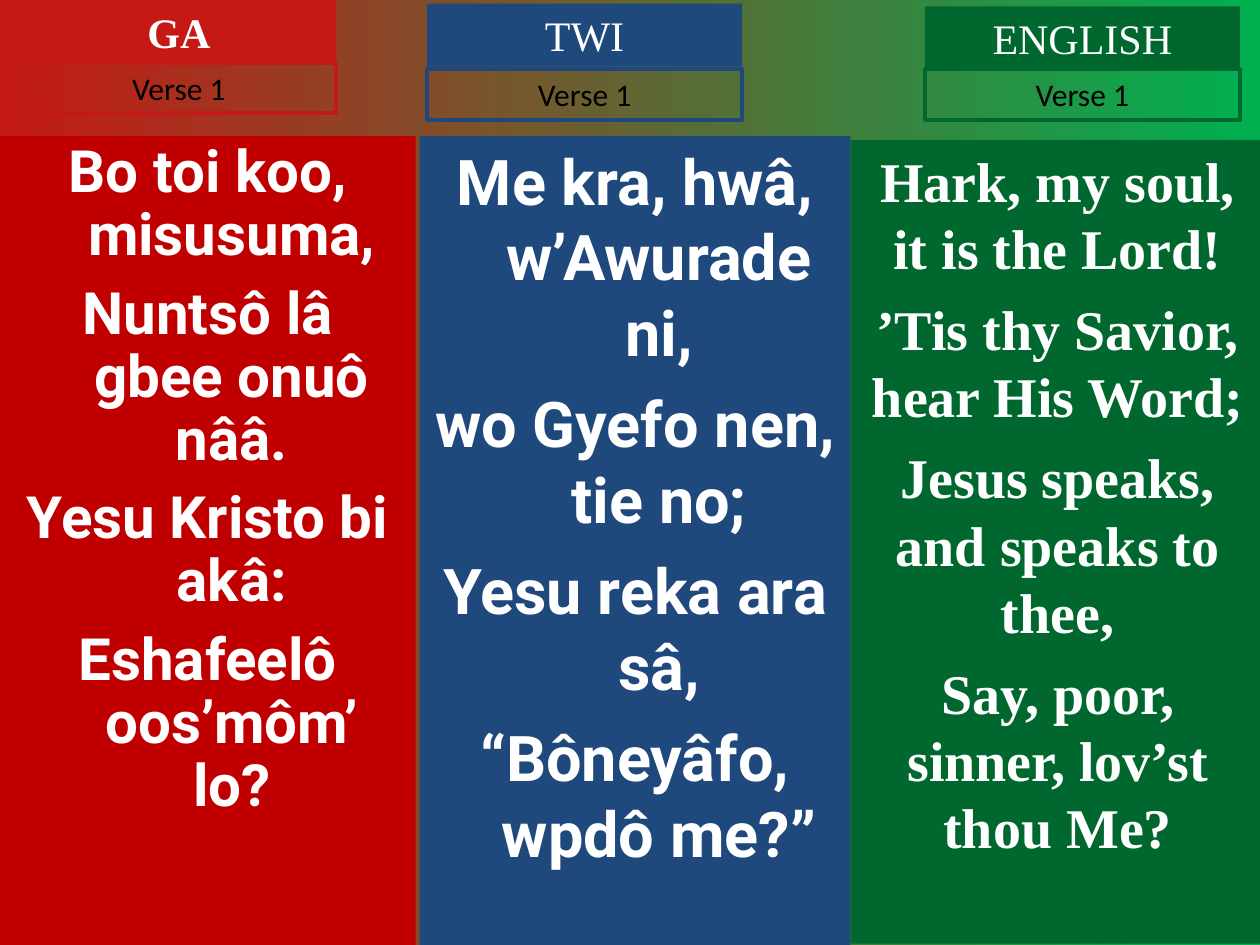
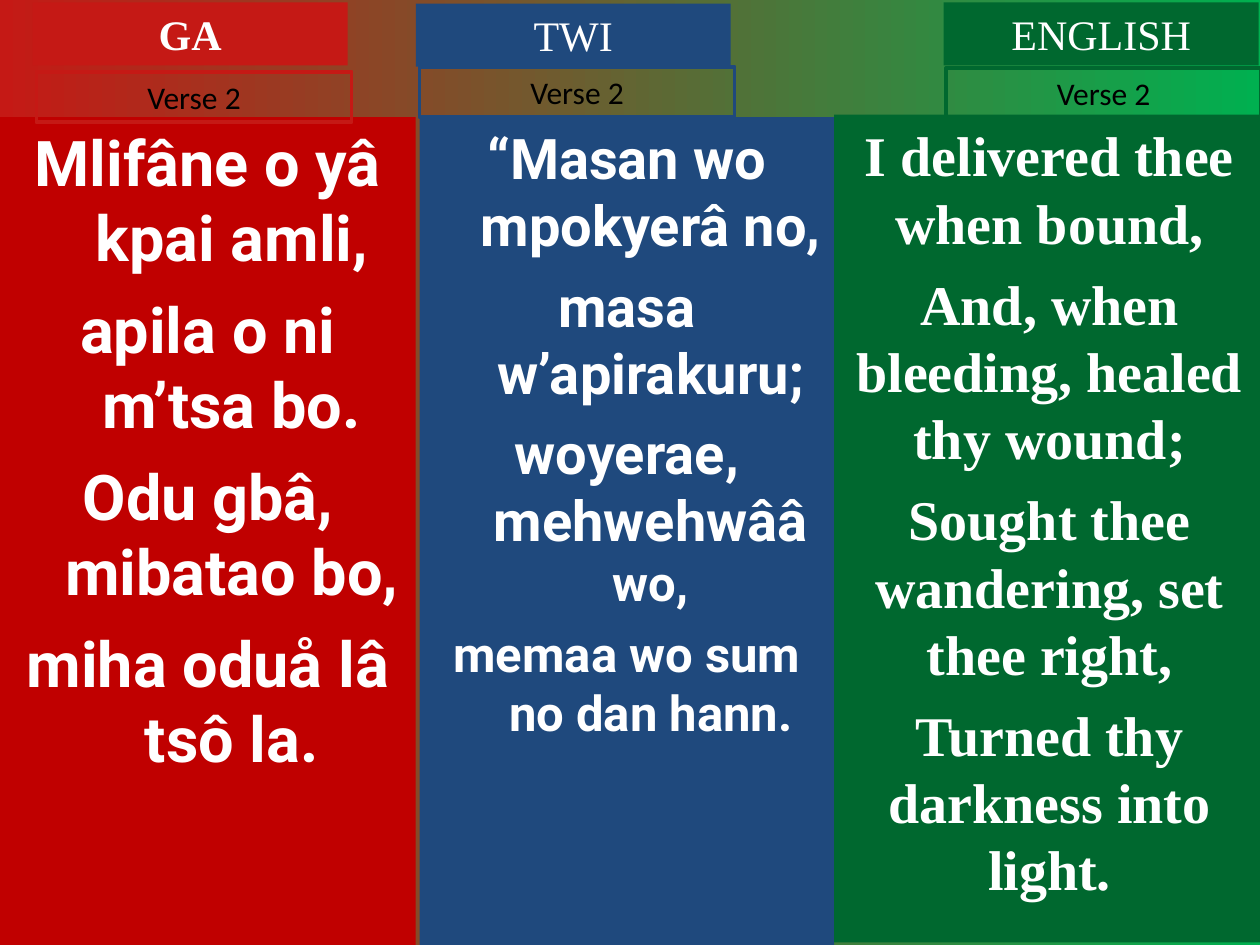
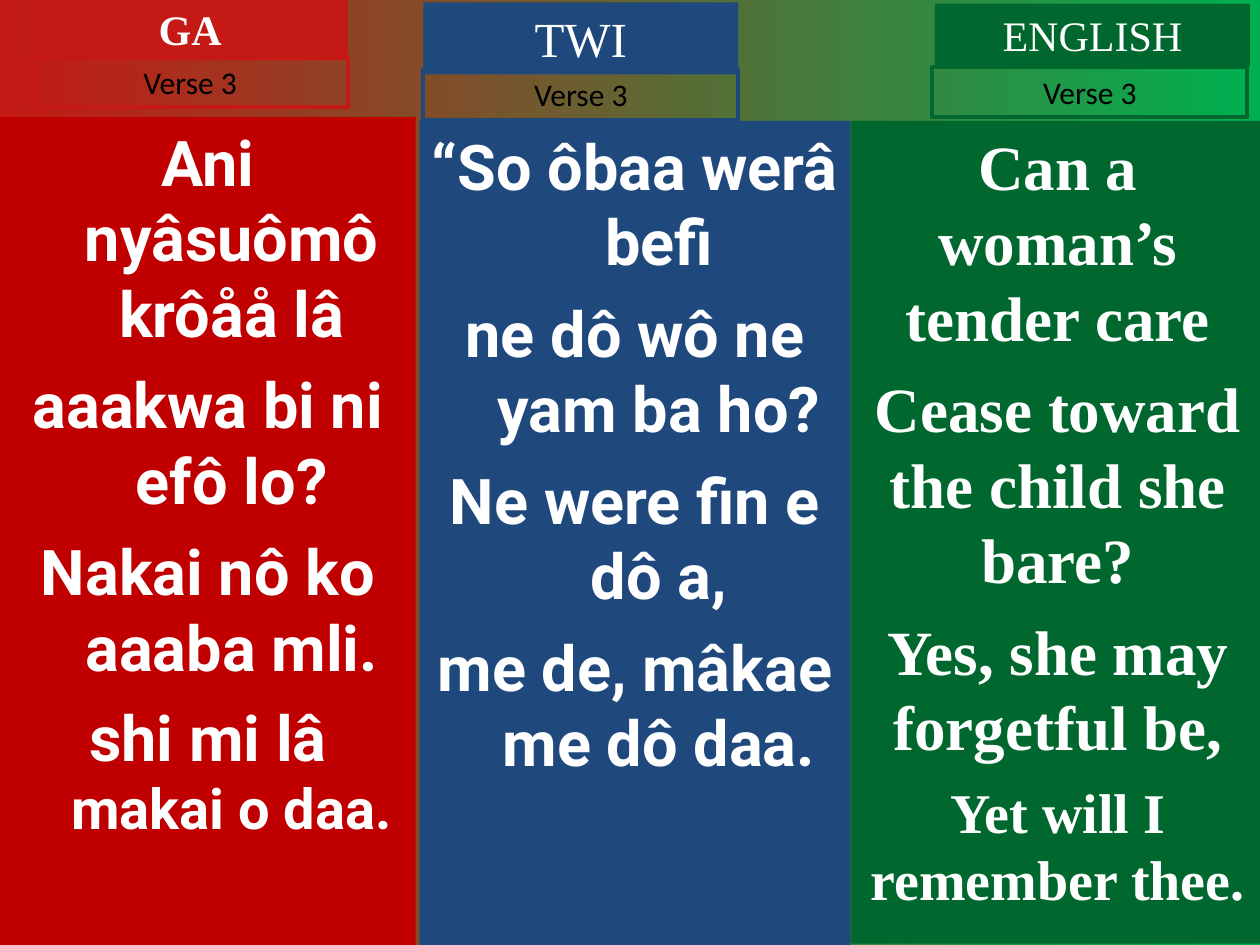
from math import ceil

from pptx import Presentation
from pptx.dml.color import RGBColor
from pptx.enum.shapes import MSO_SHAPE
from pptx.enum.text import MSO_ANCHOR, PP_ALIGN
from pptx.util import Inches, Pt

RED, BLUE, GREEN = "C51915", "1F497D", "00682F"
WHITE, BLACK = "FFFFFF", "000000"
BACKGROUND = ("C51915", "00B050")
HEADING_FONT, LYRIC_FONT, LABEL_FONT = "Times New Roman", "Roboto", "Calibri"
LABEL_W, HEADING_H, VERSE_H = 2.5, 0.5, 0.4

COLUMNS = [
    dict(name="GA", accent=RED, panel="C00000", font=LYRIC_FONT, hang=0.38, bold=True),
    dict(name="TWI", accent=BLUE, panel=BLUE, font=LYRIC_FONT, hang=0.38, bold=False),
    dict(name="ENGLISH", accent=GREEN, panel=GREEN, font=HEADING_FONT, hang=0, bold=False),
]

VERSES = [
    [
        dict(box=(0, 1.08, 3.3, 6.42), heading=(0.17, 0), verse=(0.17, 0.5),
             size=33.3, spacing=0.9,
             lines=["Bo toi koo, misusuma,", "Nuntsô lâ gbee onuô nââ.",
                    "Yesu Kristo bi akâ:", "Eshafeelô oos’môm’ lo?"]),
        dict(box=(3.33, 1.08, 3.42, 6.42), heading=(3.39, 0.03), verse=(3.39, 0.55), size=36,
             lines=["Me kra, hwâ, w’Awurade ni,", "wo Gyefo nen, tie no;",
                    "Yesu reka ara sâ,", "“Bôneyâfo, wpdô me?”"]),
        dict(box=(6.75, 1.11, 3.29, 6.38), heading=(7.34, 0.05), verse=(7.34, 0.55), size=32,
             lines=["Hark, my soul, it is the Lord!", "’Tis thy Savior, hear His Word;",
                    "Jesus speaks, and speaks to thee,",
                    "Say, poor, sinner, lov’st thou Me?"]),
    ],
    [
        dict(box=(0, 0.93, 3.3, 6.57), heading=(0.26, 0.02), verse=(0.29, 0.57), size=36,
             lines=["Mlifâne o yâ kpai amli,", "apila o ni m’tsa bo.",
                    "Odu gbâ, mibatao bo,", "miha oduå lâ tsô la."]),
        dict(box=(3.33, 0.93, 3.29, 6.57), heading=(3.3, 0.03), verse=(3.33, 0.53), size=32,
             lines=["“Masan wo mpokyerâ no,", "masa w’apirakuru;",
                    [("woyerae, mehwehwââ ", 32), ("wo,", 28)],
                    [("memaa wo sum no dan hann.", 28)]]),
        dict(box=(6.62, 0.91, 3.42, 6.57), heading=(7.49, 0.02), verse=(7.51, 0.54), size=32,
             lines=["I delivered thee when bound,", "And, when bleeding, healed thy wound;",
                    "Sought thee wandering, set thee right,",
                    "Turned thy darkness into light."]),
    ],
    [
        dict(box=(0, 0.93, 3.3, 6.57), heading=(0.26, -0.02), verse=(0.26, 0.45), size=36,
             lines=["Ani nyâsuômô krôåå lâ", "aaakwa bi ni efô lo?",
                    "Nakai nô ko aaaba mli.",
                    [("shi mi lâ ", 36), ("makai o daa.", 32)]]),
        dict(box=(3.33, 0.96, 3.42, 6.54), heading=(3.36, 0.02), verse=(3.36, 0.55), size=36,
             heading_h=0.57, heading_size=28,
             lines=["“So ôbaa werâ befi", "ne dô wô ne yam ba ho?",
                    "Ne were fin e dô a,", "me de, mâkae me dô daa."]),
        dict(box=(6.75, 0.96, 3.29, 6.53), heading=(7.42, 0.03), verse=(7.4, 0.53), size=36,
             lines=["Can a woman’s tender care", "Cease toward the child she bare?",
                    "Yes, she may forgetful be,", [("Yet will I remember thee.", 32)]]),
    ],
]


def rgb(value):
    """Turn a hex string into a colour."""
    return RGBColor.from_string(value)


def style_font(font, name, size, color, bold=False):
    """Set face, size, colour and weight of a font."""
    font.name, font.size, font.bold = name, Pt(size), bold
    font.color.rgb = rgb(color)


def add_box(s, x, y, w, h, fill=None, line=None):
    """Add a rectangle with top-anchored, wrapped text."""
    sp = s.shapes.add_shape(MSO_SHAPE.RECTANGLE, Inches(x), Inches(y), Inches(w), Inches(h))
    sp.shadow.inherit = False
    if fill:
        sp.fill.solid()
        sp.fill.fore_color.rgb = rgb(fill)
    else:
        sp.fill.background()
    if line:
        sp.line.color.rgb = rgb(line)
        sp.line.width = Pt(2.25)
    else:
        sp.line.fill.background()
    tf = sp.text_frame
    tf.word_wrap = True
    tf.vertical_anchor = MSO_ANCHOR.TOP
    return sp


def add_label(s, x, y, h, text, font, size, color, bold=False, fill=None, line=None):
    """Add a one-line label above a column."""
    p = add_box(s, x, y, LABEL_W, h, fill, line).text_frame.paragraphs[0]
    p.text = text
    p.alignment = PP_ALIGN.CENTER
    style_font(p.runs[0].font, font, size, color, bold)


def add_lyrics(s, column, part):
    """Fill a column panel with the lines of a verse."""
    tf = add_box(s, *part["box"], fill=column["panel"]).text_frame
    for i, line in enumerate(part["lines"]):
        runs = [(line, part["size"])] if isinstance(line, str) else line
        p = tf.add_paragraph() if i else tf.paragraphs[0]
        p.alignment = PP_ALIGN.CENTER
        p.line_spacing = part.get("spacing", 1.0)
        if i:
            p.space_before = Pt(ceil(runs[-1][1] / 4))
        if column["hang"]:
            pPr = p._p.get_or_add_pPr()
            pPr.set("marL", str(Inches(column["hang"])))
            pPr.set("indent", str(-Inches(column["hang"])))
        for text, size in runs:
            r = p.add_run()
            r.text = text
            style_font(r.font, column["font"], size, WHITE, True)


def add_column(s, column, part, number):
    """Draw one language: panel, heading and verse label."""
    add_lyrics(s, column, part)
    add_label(s, *part["heading"], part.get("heading_h", HEADING_H), column["name"],
              HEADING_FONT, part.get("heading_size", 24), WHITE, column["bold"],
              fill=column["accent"])
    add_label(s, *part["verse"], VERSE_H, f"Verse {number}", LABEL_FONT, 18, BLACK,
              line=column["accent"])


def add_verse_slide(prs, number, parts):
    """Add a slide with one verse in three languages."""
    s = prs.slides.add_slide(prs.slide_layouts[6])
    fill = s.background.fill
    fill.gradient()
    fill.gradient_angle = 0
    for stop, color, position in zip(fill.gradient_stops, BACKGROUND, (0, 1)):
        stop.color.rgb = rgb(color)
        stop.position = position
    for column, part in zip(COLUMNS, parts):
        add_column(s, column, part, number)


def main():
    """Build and save the presentation."""
    prs = Presentation()
    prs.slide_width, prs.slide_height = Inches(10), Inches(7.5)
    for number, parts in enumerate(VERSES, 1):
        add_verse_slide(prs, number, parts)
    prs.save("out.pptx")


if __name__ == "__main__":
    main()
